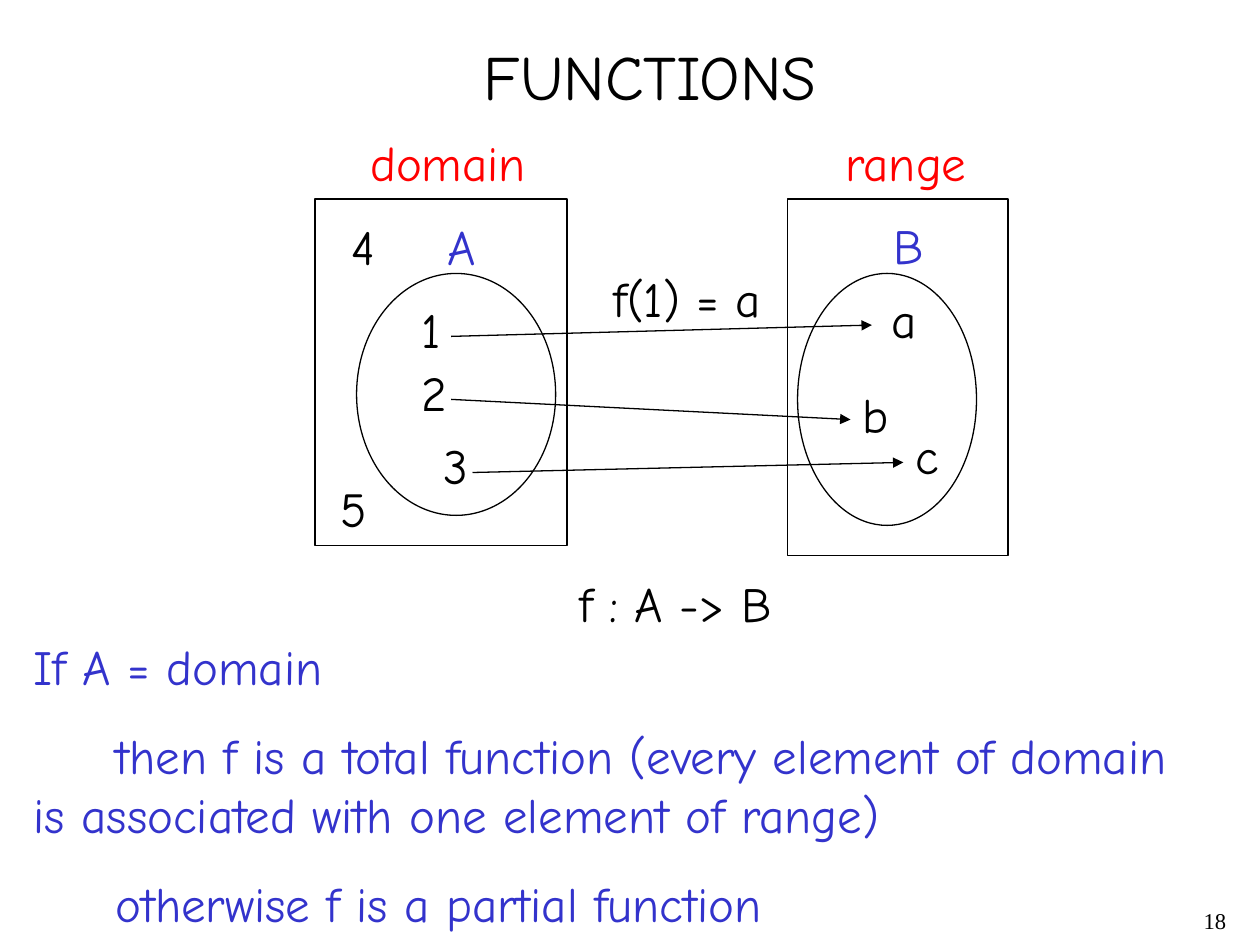
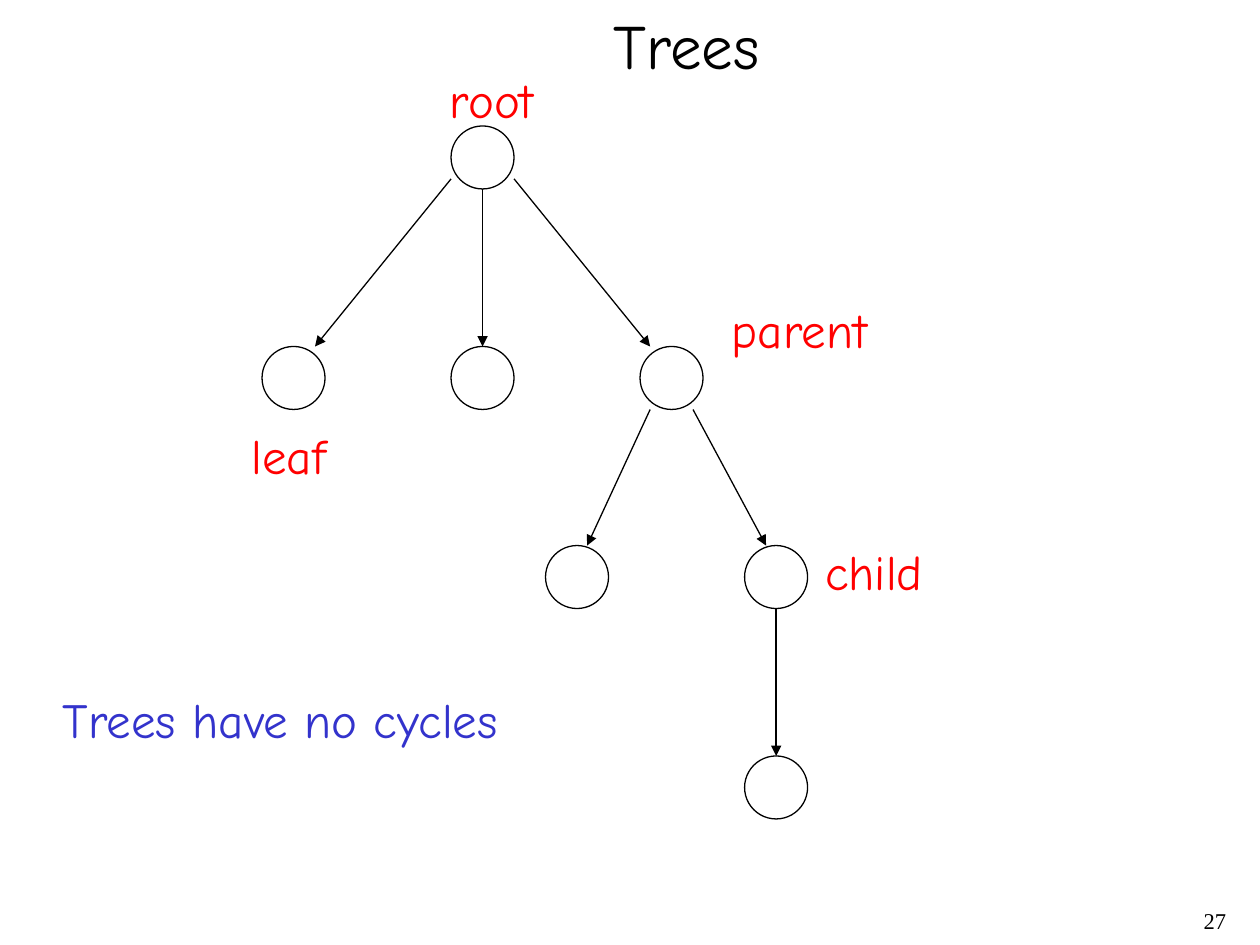
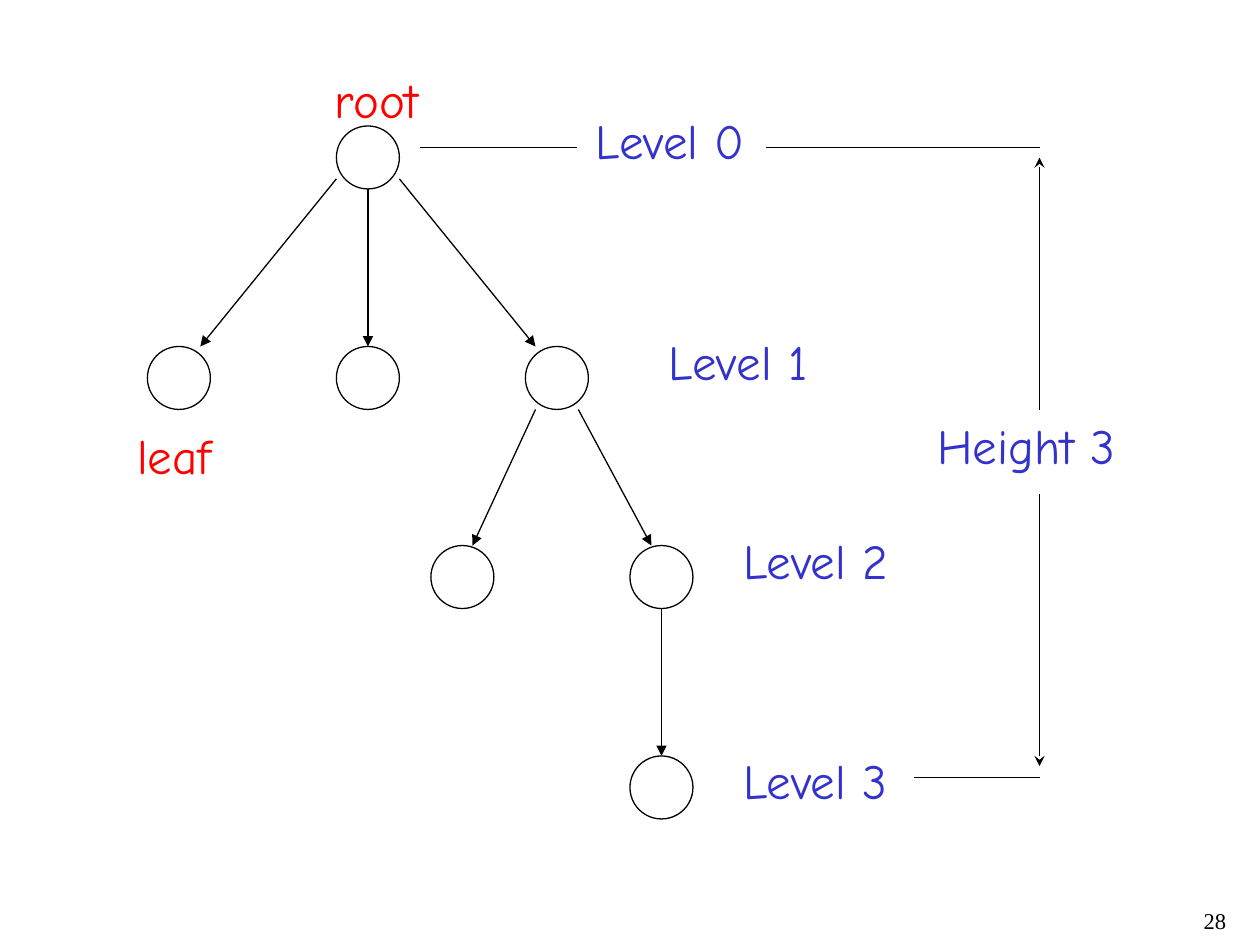
from pptx import Presentation
from pptx import util as u
from pptx.dml import color
from pptx.enum import shapes, text
from pptx.oxml import ns, xmlchemy

BLACK, RED, BLUE = "000000", "FF0000", "3333CC"
BODY_FONT, NUMBER_FONT = "Comic Neue", "Times New Roman"
TITLE_ONLY, BLANK = 5, 6
NODE_SIZE = 0.5
LABEL_SLACK = 0.04

TREE_NODES = [(0, 1), (-1.5, 2.75), (0, 2.75), (1.5, 2.75),
              (0.75, 4.33), (2.33, 4.33), (2.33, 6)]
TREE_EDGES = [((0, 1.42), (-1.08, 2.75)), ((0.25, 1.5), (0.25, 2.75)),
              ((0.5, 1.42), (1.58, 2.75)), ((1.58, 3.25), (1.08, 4.33)),
              ((1.92, 3.25), (2.5, 4.33)), ((2.58, 4.83), (2.58, 6))]


def rgb(value):
    return color.RGBColor.from_string(value)


def place(item, left, top, width, height):
    item.left, item.top = u.Inches(left), u.Inches(top)
    item.width, item.height = u.Inches(width), u.Inches(height)


def write(frame, content, size=28, font=BODY_FONT, hue=BLACK, align=text.PP_ALIGN.LEFT,
          wrap=False, grow=True, line_spacing=None, gap=0, indent=0):
    frame.word_wrap = wrap
    frame.vertical_anchor = text.MSO_ANCHOR.TOP
    frame.auto_size = (text.MSO_AUTO_SIZE.SHAPE_TO_FIT_TEXT if grow
                       else text.MSO_AUTO_SIZE.NONE)
    for index, line in enumerate(content.split("\n")):
        paragraph = frame.add_paragraph() if index else frame.paragraphs[0]
        paragraph.text = line
        paragraph.alignment = align
        paragraph.line_spacing = line_spacing
        paragraph.space_before = u.Pt(gap if index else 0)
        if index and indent:
            paragraph._p.get_or_add_pPr().set("indent", str(u.Inches(indent)))
        paragraph.font.size = u.Pt(size)
        paragraph.font.name = font
        paragraph.font.color.rgb = rgb(hue)


def add_text(slide, content, left, top, width, height, **style):
    box = slide.shapes.add_textbox(0, 0, 0, 0)
    place(box, left, top, width, height)
    write(box.text_frame, content, **style)


def add_label(slide, content, left, top, width, hue):
    add_text(slide, content, left, top, width + LABEL_SLACK, 0.57, hue=hue)


def add_outline(slide, kind, left, top, width, height):
    outline = slide.shapes.add_shape(kind, 0, 0, 0, 0)
    place(outline, left, top, width, height)
    outline.shadow.inherit = False
    outline.fill.background()
    outline.line.color.rgb = rgb(BLACK)
    outline.line.width = u.Pt(0.75)


def add_line(slide, start, end, head=None, tail=None):
    ends = [u.Inches(value) for value in (*start, *end)]
    line = slide.shapes.add_connector(shapes.MSO_CONNECTOR.STRAIGHT, *ends)
    line.line.color.rgb = rgb(BLACK)
    line.line.width = u.Pt(0.75)
    for tag, arrow in (("a:headEnd", head), ("a:tailEnd", tail)):
        if arrow:
            tip = xmlchemy.OxmlElement(tag)
            tip.set("type", arrow)
            line.line._get_or_add_ln().append(tip)
    line._element.find(ns.qn("p:spPr")).append(xmlchemy.OxmlElement("a:effectLst"))


def add_slide(deck, number, layout=BLANK):
    slide = deck.slides.add_slide(deck.slide_layouts[layout])
    add_text(slide, str(number), 7.75, 7.17, 2.08, 0.33, size=12.9, font=NUMBER_FONT,
             align=text.PP_ALIGN.RIGHT, wrap=True, grow=False, line_spacing=0.9)
    return slide


def add_title(slide, content, left, top, width):
    title = slide.shapes.title
    place(title, left, top, width + LABEL_SLACK, 0.7)
    write(title.text_frame, content, size=36)


def add_tree(slide, root_left):
    for left, top in TREE_NODES:
        add_outline(slide, shapes.MSO_SHAPE.OVAL, root_left + left, top, NODE_SIZE, NODE_SIZE)
    for (start_x, start_y), (end_x, end_y) in TREE_EDGES:
        add_line(slide, (root_left + start_x, start_y), (root_left + end_x, end_y),
                 tail="triangle")
    add_label(slide, "root", root_left - 0.11, 0.5, 0.87, RED)
    add_label(slide, "leaf", root_left - 1.68, 3.33, 0.79, RED)


def build_functions(deck):
    slide = add_slide(deck, 18, TITLE_ONLY)
    add_title(slide, "FUNCTIONS", 3.74, 0.25, 2.85)
    for bounds in ((2.5, 1.58, 2, 2.75), (6.25, 1.58, 1.75, 2.83)):
        add_outline(slide, shapes.MSO_SHAPE.RECTANGLE, *bounds)
    for bounds in ((2.83, 2.17, 1.58, 1.92), (6.33, 2.17, 1.42, 2)):
        add_outline(slide, shapes.MSO_SHAPE.OVAL, *bounds)
    for start, end in (((3.58, 2.67), (6.92, 2.58)),
                       ((3.58, 3.17), (6.75, 3.33)),
                       ((3.75, 3.75), (7.17, 3.67))):
        add_line(slide, start, end, tail="triangle")
    for content, left, top, width, hue in (
            ("domain", 2.84, 1, 1.43, RED),
            ("range", 6.61, 1, 1.17, RED),
            ("A", 3.45, 1.67, 0.42, BLUE),
            ("B", 6.99, 1.66, 0.44, BLUE),
            ("1", 3.25, 2.33, 0.35, BLACK),
            ("2", 3.25, 2.83, 0.4, BLACK),
            ("3", 3.42, 3.41, 0.39, BLACK),
            ("4", 2.69, 1.67, 0.39, BLACK),
            ("5", 2.6, 3.75, 0.41, BLACK),
            ("a", 6.98, 2.25, 0.4, BLACK),
            ("b", 6.75, 3, 0.41, BLACK),
            ("c", 7.17, 3.33, 0.38, BLACK),
            ("f(1) = a", 4.77, 2.08, 1.37, BLACK),
            ("f : A -> B", 4.5, 4.5, 1.86, BLACK)):
        add_label(slide, content, left, top, width, hue)
    add_text(slide, "If A = domain\n"
             "then f is a total function (every element of domain "
             "is associated with one element of range)\n"
             "otherwise f is a partial function",
             0.17, 5, 9.39, 2.46, hue=BLUE, wrap=True, gap=17.5, indent=0.65)


def build_trees(deck):
    slide = add_slide(deck, 27, TITLE_ONLY)
    add_title(slide, "Trees", 4.77, 0, 1.37)
    add_tree(slide, 3.58)
    add_label(slide, "parent", 5.71, 2.33, 1.28, RED)
    add_label(slide, "child", 6.45, 4.25, 0.97, RED)
    add_label(slide, "Trees have no cycles", 0.4, 5.42, 3.67, BLUE)


def build_levels(deck):
    slide = add_slide(deck, 28)
    add_tree(slide, 2.67)
    for level, (left, top, width) in enumerate((
            (4.63, 0.83, 1.39), (5.21, 2.58, 1.31), (5.8, 4.16, 1.36), (5.8, 5.91, 1.35))):
        add_label(slide, f"Level {level}", left, top, width, BLUE)
    for start_x, end_x, y in ((3.33, 4.58, 1.17), (6.08, 8.25, 1.17), (7.25, 8.25, 6.17)):
        add_line(slide, (start_x, y), (end_x, y))
    for tip_y, end_y in ((1.25, 3.25), (6.08, 3.92)):
        add_line(slide, (8.25, tip_y), (8.25, end_y), head="stealth")
    add_label(slide, "Height 3", 7.34, 3.25, 1.61, BLUE)


def main():
    deck = Presentation()
    deck.slide_width, deck.slide_height = u.Inches(10), u.Inches(7.5)
    build_functions(deck)
    build_trees(deck)
    build_levels(deck)
    deck.save("out.pptx")


if __name__ == "__main__":
    main()
